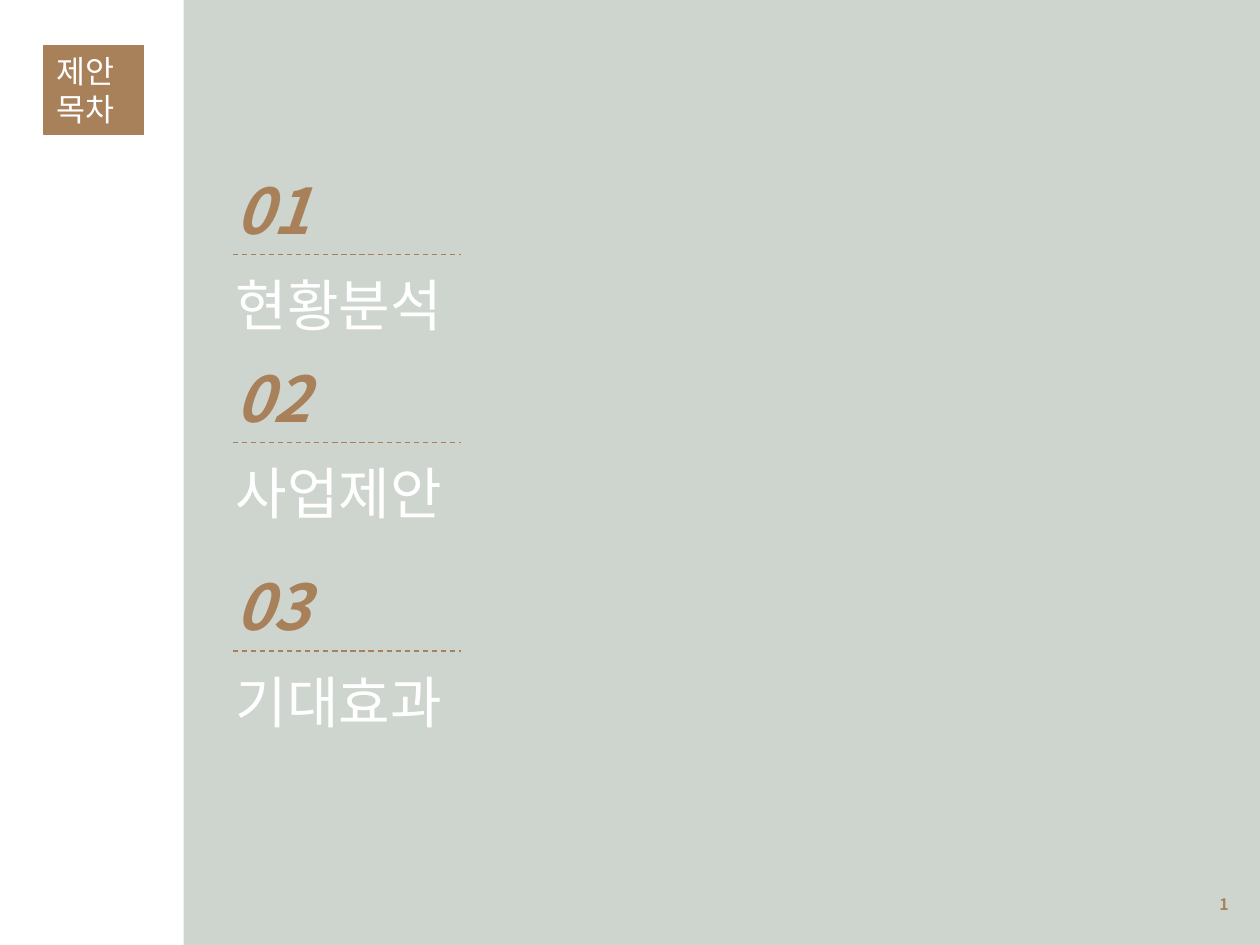
from dataclasses import dataclass

from lxml import etree
from pptx import Presentation
from pptx.dml.color import RGBColor
from pptx.enum.dml import MSO_LINE
from pptx.enum.shapes import MSO_CONNECTOR, MSO_SHAPE
from pptx.enum.text import MSO_ANCHOR, MSO_AUTO_SIZE, PP_ALIGN
from pptx.oxml.ns import qn
from pptx.util import Pt

RECT = MSO_SHAPE.RECTANGLE
STRAIGHT = MSO_CONNECTOR.STRAIGHT
DASH = MSO_LINE.DASH
TOP, MIDDLE = MSO_ANCHOR.TOP, MSO_ANCHOR.MIDDLE
LEFT, RIGHT, JUSTIFY = PP_ALIGN.LEFT, PP_ALIGN.RIGHT, PP_ALIGN.JUSTIFY
FIT_SHAPE, NO_FIT = MSO_AUTO_SIZE.SHAPE_TO_FIT_TEXT, MSO_AUTO_SIZE.NONE


@dataclass(frozen=True)
class Theme:
    font: str = "Noto Sans CJK KR"
    accent: RGBColor = RGBColor(0xA8, 0x81, 0x5A)
    panel: RGBColor = RGBColor(0xCE, 0xD5, 0xCE)
    white: RGBColor = RGBColor(0xFF, 0xFF, 0xFF)
    title_size: int = 18
    number_size: int = 36
    heading_size: int = 32
    page_size: int = 9
    line_width: float = 0.75


def write(tf, text, *, font, size, color, bold=False, italic=False,
          align=LEFT, anchor=TOP, fit=FIT_SHAPE):
    """Fill a text frame, one paragraph for each line of text."""
    tf.word_wrap = True
    tf.auto_size = fit
    tf.vertical_anchor = anchor
    for i, line in enumerate(text.split("\n")):
        p = tf.paragraphs[0] if i == 0 else tf.add_paragraph()
        p.alignment = align
        r = p.add_run()
        r.text = line
        r.font.size = Pt(size)
        r.font.bold = bold
        r.font.italic = italic
        r.font.color.rgb = color
        r.font.name = font
        # Hangul takes its typeface from the East Asian font
        etree.SubElement(r.font._element, qn("a:ea"), typeface=font)


class Deck:
    """Holds the theme and the slide being built; lengths are in points."""

    def __init__(self, slide, theme):
        self.slide = slide
        self.theme = theme

    def title(self, text, x, y, w, h):
        t = self.theme
        s = self.slide.shapes.title
        s.left, s.top, s.width, s.height = Pt(x), Pt(y), Pt(w), Pt(h)
        s.fill.solid()
        s.fill.fore_color.rgb = t.accent
        s.line.color.rgb = t.accent
        s.line.width = Pt(t.line_width)
        # A title placeholder that fits its text would grow past the box
        write(s.text_frame, text, font=t.font, size=t.title_size,
              color=t.white, align=JUSTIFY, anchor=MIDDLE, fit=NO_FIT)

    def panel(self, x, y, w, h):
        s = self.slide.shapes.add_shape(RECT, Pt(x), Pt(y), Pt(w), Pt(h))
        s.shadow.inherit = False
        s.fill.solid()
        s.fill.fore_color.rgb = self.theme.panel
        s.line.fill.background()

    def text(self, text, x, y, w, h, **style):
        s = self.slide.shapes.add_textbox(Pt(x), Pt(y), Pt(w), Pt(h))
        write(s.text_frame, text, font=self.theme.font, **style)

    def dashed_rule(self, x1, x2, y):
        s = self.slide.shapes.add_connector(STRAIGHT, Pt(x1), Pt(y), Pt(x2), Pt(y))
        s.line.color.rgb = self.theme.accent
        s.line.width = Pt(self.theme.line_width)
        s.line.dash_style = DASH
        etree.SubElement(s._element.spPr, qn("a:effectLst"))

    def section(self, number, heading, y):
        """Number, dashed rule and heading, stacked from y down."""
        t = self.theme
        x = 127.5
        self.text(number, x, y, 90.7, 51, size=t.number_size,
                  color=t.accent, bold=True, italic=True)
        self.dashed_rule(133.2, 263.5, y + 51)
        self.text(heading, x, y + 56.7, 187.2, 46,
                  size=t.heading_size, color=t.white)


def main():
    prs = Presentation()
    prs.slide_width, prs.slide_height = Pt(720), Pt(540)
    title_only = prs.slide_layouts[5]
    theme = Theme()
    deck = Deck(prs.slides.add_slide(title_only), theme)

    panel_x = 105
    deck.panel(panel_x, 0, 720 - panel_x, 540)
    deck.title("제안\n목차", 25.2, 25.9, 56.9, 51.1)
    sections = [("현황분석", 94.3), ("사업제안", 202), ("기대효과", 321)]
    for i, (heading, y) in enumerate(sections, start=1):
        deck.section(f"{i:02}", heading, y)
    deck.text("1", 541.4, 502.5, 167.8, 28.8, size=theme.page_size,
              color=theme.accent, bold=True, align=RIGHT, anchor=MIDDLE, fit=NO_FIT)

    prs.save("out.pptx")


if __name__ == "__main__":
    main()
